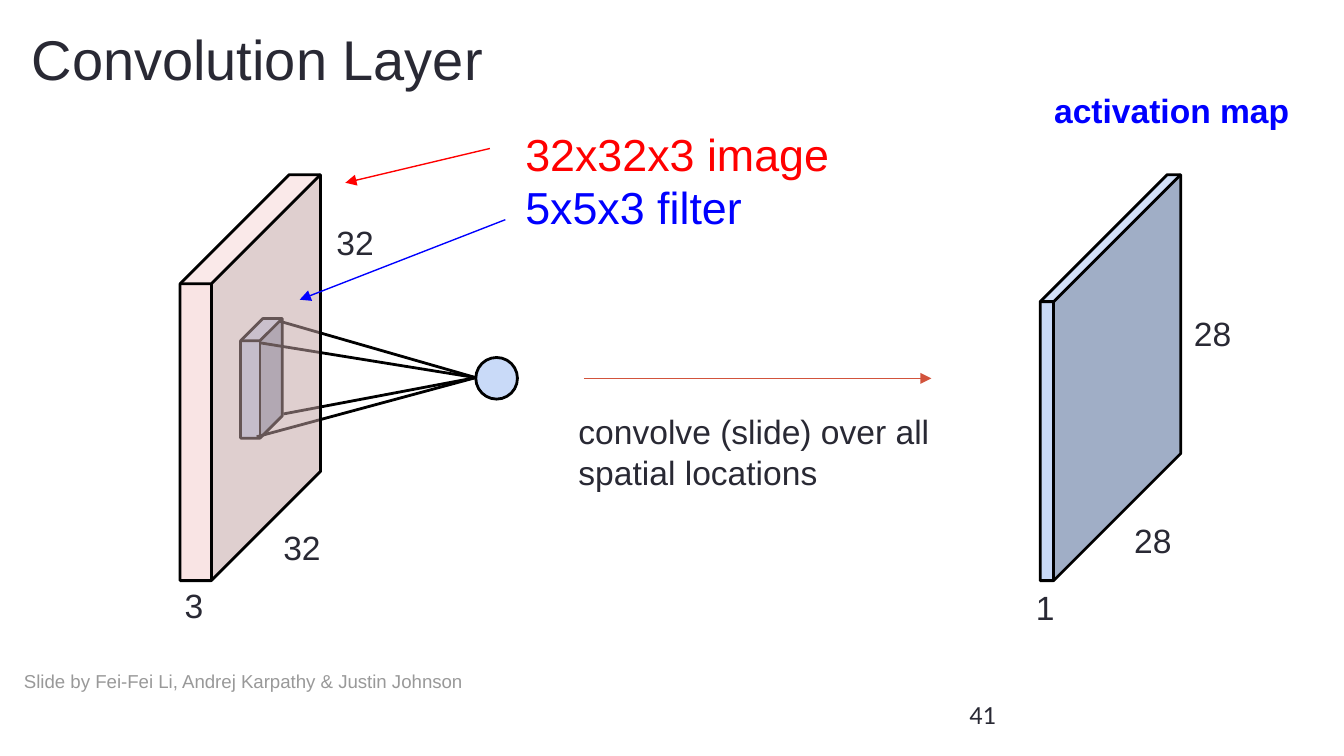
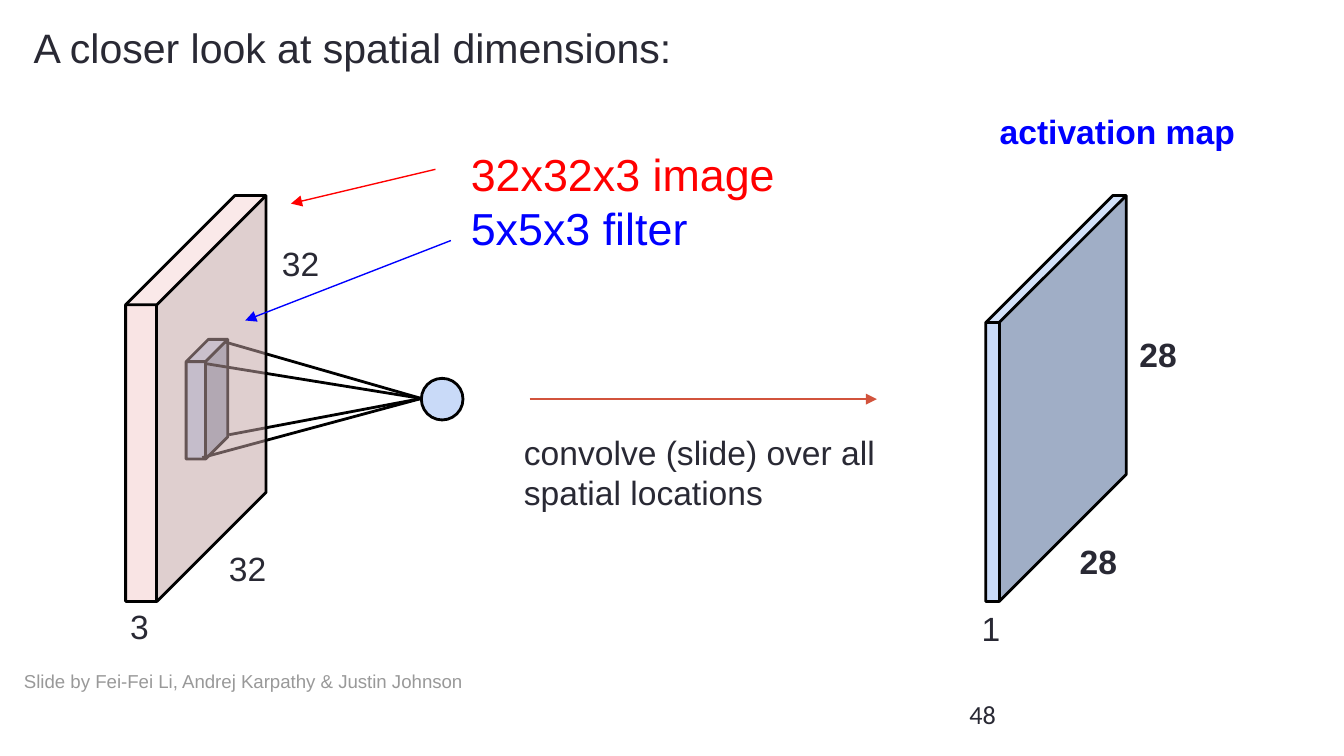
from dataclasses import dataclass

from lxml import etree
from pptx import Presentation, util as u
from pptx.dml.color import RGBColor
from pptx.enum import shapes, text
from pptx.oxml.ns import qn

WIDTH = u.Inches(10)
HEIGHT = WIDTH * 9 // 16
COLUMN, ROW = WIDTH / 100, HEIGHT / 56.25

INK, GREY, BLACK = "292934", "999999", "000000"
RED, BLUE, RUST = "FF0000", "0000FF", "D2533C"
PALE_BLUE, PINK = "C9DAF8", "F4CCCC"
CREDIT = "Slide by Fei-Fei Li, Andrej Karpathy & Justin Johnson"


@dataclass(frozen=True)
class Box:
    """An area in grid columns and rows."""
    left: float
    top: float
    width: float
    height: float

    def moved(self, shift: tuple[float, float]) -> "Box":
        return Box(self.left + shift[0], self.top + shift[1], self.width, self.height)

    def emu(self) -> tuple[int, int, int, int]:
        return (round(self.left * COLUMN), round(self.top * ROW),
                round(self.width * COLUMN), round(self.height * ROW))


@dataclass(frozen=True)
class Label:
    box: Box
    lines: tuple[tuple[str, str], ...]
    size: float = 18
    bold: bool = False
    font: str = "Arial"
    middle: bool = False


@dataclass(frozen=True)
class Solid:
    box: Box
    fill: str
    depth: float | None = None
    opacity: int = 100


@dataclass(frozen=True)
class Line:
    start: tuple[float, float]
    end: tuple[float, float]
    color: str = BLACK
    weight: float = 1.5
    arrow: bool = False


@dataclass(frozen=True)
class Page:
    title: Label
    number: str
    shift: tuple[float, float] = (0, 0)
    bold_output: bool = False


def plain(content: str, box: Box, color: str = INK, **style) -> Label:
    return Label(box, ((content, color),), **style)


NEURON = Solid(Box(35.4, 26.6, 3.1, 3.1), PALE_BLUE)
FILTER = Solid(Box(17.9, 23.7, 3.1, 8.9), PALE_BLUE, 0.534)
IMAGE = Solid(Box(13.4, 13, 10.45, 30.2), PINK, 0.777, 52)
ACTIVATION = Solid(Box(77.4, 13, 10.45, 30.2), PALE_BLUE, 0.904)

FILTER_CORNERS = ((19.1, 32.5), (19.3, 25.5), (20.8, 23.9), (21.1, 30.8))
NEURON_INPUT = (35.4, 28.1)
RAYS = tuple(Line(corner, NEURON_INPUT) for corner in FILTER_CORNERS)
ARROWS = (
    Line((36.45, 11.05), (25.7, 13.6), RED, 0.75, True),
    Line((37.6, 16.35), (22.3, 22.3), BLUE, 0.75, True),
    Line((43.45, 28.15), (69.3, 28.15), RUST, 0.75, True),
)
LABELS = (
    plain("32", Box(20.1, 38.2, 5.4, 3.4)),
    plain("32", Box(24.05, 15.5, 5.4, 3.1)),
    plain("3", Box(12.75, 42.5, 5.4, 2)),
    Label(Box(38.1, 8.4, 39.8, 6),
          (("32x32x3 image", RED), ("5x5x3 filter", BLUE)), 24),
    plain("convolve (slide) over all spatial locations", Box(42.05, 29.6, 35.8, 8.9)),
    plain("activation map", Box(77.45, 5.7, 19.7, 5.9), BLUE, bold=True),
    plain("1", Box(76.1, 42.7, 3.6, 3.4)),
)
OUTPUT_SIZES = (Box(83.4, 37.7, 5.4, 3.4), Box(87.85, 22.3, 5.4, 3.4))

PAGES = (
    Page(plain("Convolution Layer", Box(1.35, 0.8, 84.2, 6.9), size=30), "41"),
    Page(plain("A closer look at spatial dimensions:", Box(1.5, 0.7, 91.6, 6.6), size=22),
         "48", (-4.05, 1.55), True),
)


def rgb(color: str) -> RGBColor:
    return RGBColor.from_string(color)


def write(shape, label: Label) -> None:
    """Fill a text shape with the label's lines and style."""
    frame = shape.text_frame
    frame.word_wrap = True
    frame.auto_size = text.MSO_AUTO_SIZE.NONE
    frame.vertical_anchor = text.MSO_ANCHOR.MIDDLE if label.middle else text.MSO_ANCHOR.TOP
    frame.margin_left = frame.margin_right = u.Inches(0.1)
    frame.margin_top = frame.margin_bottom = u.Inches(0.1)
    frame.text = "\n".join(content for content, _ in label.lines)
    for paragraph, (_, color) in zip(frame.paragraphs, label.lines):
        paragraph.alignment = text.PP_ALIGN.LEFT
        paragraph.font.name = label.font
        paragraph.font.size = u.Pt(label.size)
        paragraph.font.bold = label.bold
        paragraph.font.color.rgb = rgb(color)


def add_title(slide, label: Label) -> None:
    title = slide.shapes.title
    title.left, title.top, title.width, title.height = label.box.emu()
    write(title, label)


def add_label(slide, label: Label, shift: tuple[float, float] = (0, 0)) -> None:
    write(slide.shapes.add_textbox(*label.box.moved(shift).emu()), label)


def add_solid(slide, solid: Solid, shift: tuple[float, float]) -> None:
    """Draw a cube, or a circle when the solid has no depth."""
    kind = shapes.MSO_SHAPE.OVAL if solid.depth is None else shapes.MSO_SHAPE.CUBE
    shape = slide.shapes.add_shape(kind, *solid.box.moved(shift).emu())
    if solid.depth is not None:
        shape.adjustments[0] = solid.depth
    shape.shadow.inherit = False
    shape.fill.solid()
    shape.fill.fore_color.rgb = rgb(solid.fill)
    if solid.opacity < 100:
        color = shape._element.spPr.find(qn("a:solidFill")).find(qn("a:srgbClr"))
        etree.SubElement(color, qn("a:alpha"), val=str(solid.opacity * 1000))
    shape.line.color.rgb = rgb(BLACK)
    shape.line.width = u.Pt(1.5)


def add_line(slide, line: Line, shift: tuple[float, float]) -> None:
    ends = [round((value + move) * unit)
            for point in (line.start, line.end)
            for value, move, unit in zip(point, shift, (COLUMN, ROW))]
    connector = slide.shapes.add_connector(shapes.MSO_CONNECTOR.STRAIGHT, *ends)
    connector.line.color.rgb = rgb(line.color)
    connector.line.width = u.Pt(line.weight)
    properties = connector._element.spPr
    if line.arrow:
        etree.SubElement(properties.find(qn("a:ln")), qn("a:tailEnd"), type="triangle")
    etree.SubElement(properties, qn("a:effectLst"))


def add_convolution(slide, page: Page) -> None:
    """Draw the image, its filter and the activation map they give."""
    for solid in (FILTER, NEURON):
        add_solid(slide, solid, page.shift)
    for ray in RAYS:
        add_line(slide, ray, page.shift)
    for solid in (IMAGE, ACTIVATION):
        add_solid(slide, solid, page.shift)
    for arrow in ARROWS:
        add_line(slide, arrow, page.shift)
    for label in LABELS:
        add_label(slide, label, page.shift)
    for box in OUTPUT_SIZES:
        add_label(slide, plain("28", box, bold=page.bold_output), page.shift)


def add_footer(slide, number: str) -> None:
    add_label(slide, plain(CREDIT, Box(0.8, 48.55, 36.1, 4.2), GREY, size=10, middle=True))
    add_label(slide, plain(number, Box(71.15, 51, 6, 4.3), size=14,
                           font="Calibri", middle=True))


def main() -> None:
    deck = Presentation()
    deck.slide_width, deck.slide_height = WIDTH, HEIGHT
    title_only = deck.slide_layouts.get_by_name("Title Only")
    for page in PAGES:
        slide = deck.slides.add_slide(title_only)
        add_title(slide, page.title)
        add_footer(slide, page.number)
        add_convolution(slide, page)
    deck.save("out.pptx")


if __name__ == "__main__":
    main()
